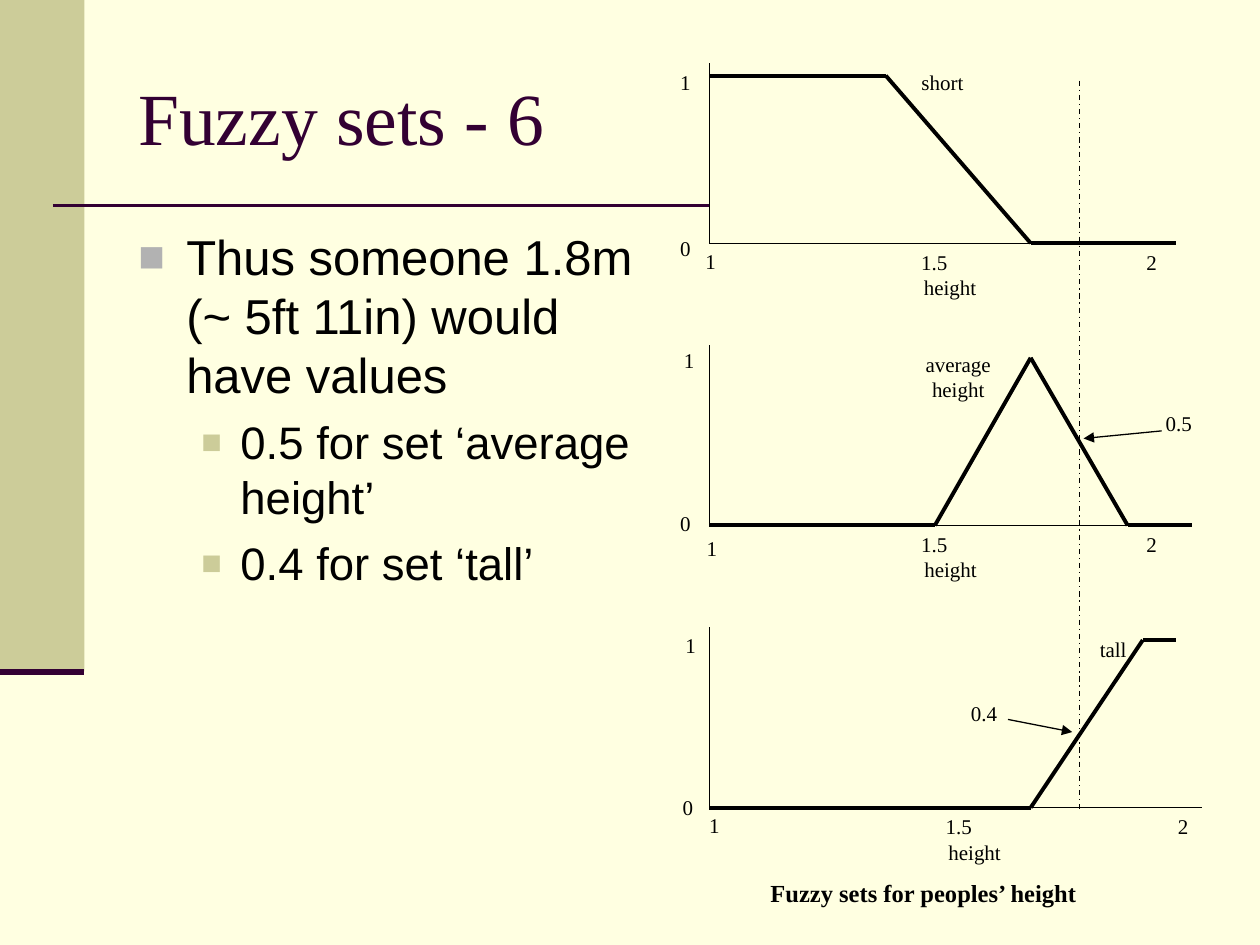
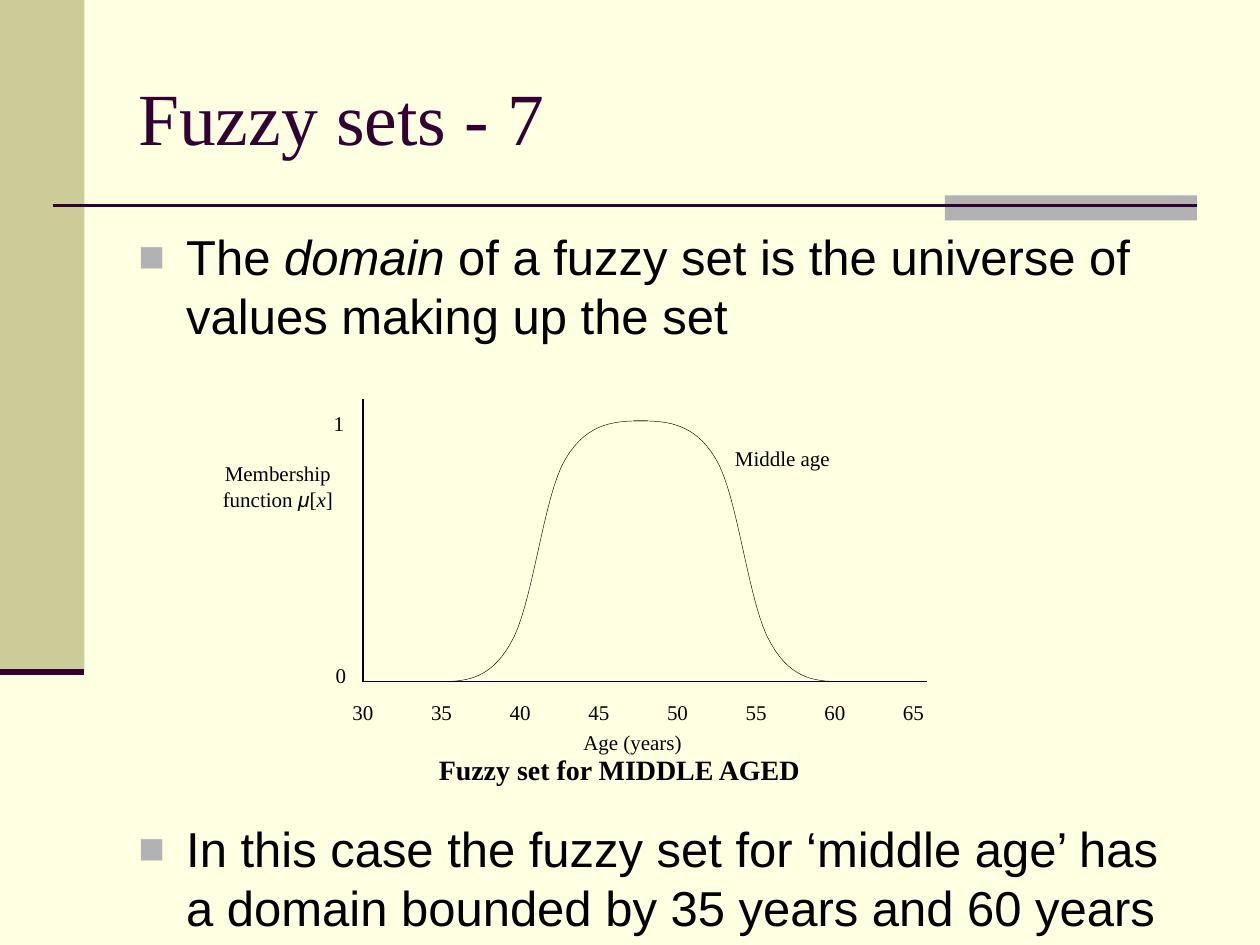
from lxml import etree
from pptx import Presentation
from pptx.dml.color import RGBColor
from pptx.enum.dml import MSO_LINE
from pptx.enum.shapes import MSO_CONNECTOR, MSO_SHAPE
from pptx.enum.text import MSO_ANCHOR, PP_ALIGN
from pptx.oxml.ns import qn
from pptx.util import Inches, Pt

CENTER, LEFT = PP_ALIGN.CENTER, PP_ALIGN.LEFT
TOP, MIDDLE = MSO_ANCHOR.TOP, MSO_ANCHOR.MIDDLE
STRAIGHT, RECTANGLE = MSO_CONNECTOR.STRAIGHT, MSO_SHAPE.RECTANGLE
DASH_DOT = MSO_LINE.DASH_DOT

COLORS = {
    "background": "FFFFE1",
    "band": "CCCC99",
    "accent": "B2B2B2",
    "title": "330033",
    "ink": "000000",
}
SERIF, SANS = "Times New Roman", "Arial"
LABEL_HEIGHT = 0.31
# Per bullet level: text size, left margin, hang, space before, bullet colour, bullet size in %
BULLETS = [
    (28, 0.38, 0.38, 7, "accent", 90),
    (26, 0.81, 0.31, 6.5, "band", 75),
]


def color(name):
    return RGBColor.from_string(COLORS[name])


def add_text(page, box, *paragraphs, size=12, font=SERIF, ink="ink", bold=False,
             align=CENTER, anchor=TOP):
    """Each paragraph is a string or a list of (text, font, italic) runs."""
    frame = page.shapes.add_textbox(*map(Inches, box)).text_frame
    frame.word_wrap = True
    frame.vertical_anchor = anchor
    for index, content in enumerate(paragraphs):
        para = frame.add_paragraph() if index else frame.paragraphs[0]
        para.alignment = align
        runs = [(content, font, False)] if isinstance(content, str) else content
        for text, face, italic in runs:
            span = para.add_run()
            span.text = text
            span.font.name = face
            span.font.size = Pt(size)
            span.font.bold = bold
            span.font.italic = italic
            span.font.color.rgb = color(ink)
    return frame


def add_bullets(page, box, *items):
    """Each item is a bullet level and its paragraph."""
    frame = add_text(page, box, *(content for _, content in items), font=SANS, align=LEFT)
    for para, (level, _) in zip(frame.paragraphs, items):
        size, margin, hang, before, tint, percent = BULLETS[level]
        para.level = level
        para.space_before = Pt(before)
        for span in para.runs:
            span.font.size = Pt(size)
        properties = para._p.get_or_add_pPr()
        properties.set("marL", str(Inches(margin)))
        properties.set("indent", str(-Inches(hang)))
        bullet_color = etree.SubElement(properties, qn("a:buClr"))
        etree.SubElement(bullet_color, qn("a:srgbClr"), val=COLORS[tint])
        etree.SubElement(properties, qn("a:buSzPct"), val=str(percent * 1000))
        etree.SubElement(properties, qn("a:buFont"), typeface=SANS)
        etree.SubElement(properties, qn("a:buChar"), char="■")


def add_line(page, start, end, width=0.75, ink="ink", dash=None, arrow=False):
    line = page.shapes.add_connector(STRAIGHT, *map(Inches, (*start, *end)))
    line.line.color.rgb = color(ink)
    line.line.width = Pt(width)
    if dash:
        line.line.dash_style = dash
    if arrow:
        etree.SubElement(line.line._get_or_add_ln(), qn("a:tailEnd"), type="triangle")
    etree.SubElement(line._element.spPr, qn("a:effectLst"))


def add_block(page, box, fill):
    block = page.shapes.add_shape(RECTANGLE, *map(Inches, box))
    block.shadow.inherit = False
    block.fill.solid()
    block.fill.fore_color.rgb = color(fill)
    block.line.fill.background()


def add_page(deck, title, rule_end=9.5, accent=True):
    """Add a slide with the side band, title rule and title."""
    page = deck.slides.add_slide(deck.slide_layouts[6])
    page.background.fill.solid()
    page.background.fill.fore_color.rgb = color("background")
    add_block(page, (0, 0, 0.67, 5.33), "band")
    if accent:
        add_block(page, (7.5, 1.55, 2, 0.2), "accent")
    add_line(page, (0.42, 1.63), (rule_end, 1.63), 1.5, "title")
    add_line(page, (0, 5.33), (0.67, 5.33), 3.5, "title")
    add_text(page, (1, 0.3, 8.5, 1.25), title, size=42, ink="title",
             align=LEFT, anchor=MIDDLE)
    return page


def draw_height_set(page, box, curve, labels):
    """Draw axes, a membership curve and labels, all relative to the box."""
    left, top, width, height = box
    origin = (left, top + height)
    add_line(page, (left, top), origin)
    add_line(page, origin, (left + width, top + height))
    points = [(left + x, top + y) for x, y in curve]
    for start, end in zip(points, points[1:]):
        add_line(page, start, end, 2.25)
    for text, x, y, label_width in labels:
        add_text(page, (left + x, top + y, label_width, LABEL_HEIGHT), text)


def draw_callout(page, text, label_at, label_width, start, end):
    add_text(page, (*label_at, label_width, LABEL_HEIGHT), text)
    add_line(page, start, end, arrow=True)


def build_height_page(deck):
    left, first_top, pitch, base, peak = 5.63, 0.5, 2.24, 1.43, 0.1
    page = add_page(deck, "Fuzzy sets - 6", rule_end=left, accent=False)
    add_bullets(page, (1, 1.75, 4.42, 3.17),
                (0, "Thus someone 1.8m (~ 5ft 11in) would have values"),
                (1, "0.5 for set ‘average height’"),
                (1, "0.4 for set ‘tall’"))
    add_line(page, (8.57, 0.64), (8.57, 6.45), dash=DASH_DOT)
    height_sets = [
        (3.7,
         [(0, peak), (1.4, peak), (2.55, base), (3.7, base)],
         [("1", -0.38, 0, 0.38), ("0", -0.38, 1.32, 0.38), ("1", -0.18, 1.42, 0.38),
          ("1.5", 1.53, base, 0.51), ("2", 3.32, base, 0.38),
          ("height", 1.4, 1.63, 1.02), ("short", 1.53, 0, 0.64)]),
        (3.7,
         [(0, base), (1.79, base), (2.55, peak), (3.32, base), (3.83, base)],
         [("1", -0.35, -0.03, 0.38), ("0", -0.38, 1.26, 0.38), ("1", -0.17, 1.46, 0.38),
          ("1.5", 1.53, base, 0.51), ("2", 3.32, base, 0.38),
          ("height", 1.53, 1.63, 0.77), ("average height", 1.53, 0, 0.89)]),
        (3.91,
         [(0, base), (2.55, base), (3.44, peak), (3.7, peak)],
         [("1", -0.34, -0.01, 0.38), ("0", -0.36, 1.28, 0.38), ("1", -0.15, 1.42, 0.38),
          ("1.5", 1.66, base, 0.64), ("2", 3.57, base, 0.38),
          ("height", 1.66, 1.63, 0.89), ("tall", 2.95, 0.02, 0.51)]),
    ]
    for index, (width, curve, labels) in enumerate(height_sets):
        draw_height_set(page, (left, first_top + index * pitch, width, base), curve, labels)
    draw_callout(page, "0.5", (9.1, 3.21), 0.51, (9.22, 3.42), (8.6, 3.48))
    draw_callout(page, "0.4", (7.49, 5.51), 0.64, (8, 5.71), (8.51, 5.81))
    add_text(page, (5.08, 6.92, 4.5, 0.34), "Fuzzy sets for peoples’ height",
             size=14, bold=True)


def bezier_points(start, first, second, end, steps=16):
    """Return points along a cubic curve, without its start."""
    points = []
    for step in range(1, steps + 1):
        t = step / steps
        weights = ((1 - t) ** 3, 3 * t * (1 - t) ** 2, 3 * t ** 2 * (1 - t), t ** 3)
        points.append(tuple(sum(weight * value for weight, value in zip(weights, values))
                            for values in zip(start, first, second, end)))
    return points


def add_curve(page, knots):
    """Draw joined cubic curves: a start, then two controls and an end for each."""
    points = [knots[0]]
    for index in range(0, len(knots) - 1, 3):
        points += bezier_points(*knots[index:index + 4])
    builder = page.shapes.build_freeform(*map(Inches, points[0]), scale=1.0)
    builder.add_line_segments([tuple(map(Inches, point)) for point in points[1:]], close=False)
    curve = builder.convert_to_shape()
    curve.shadow.inherit = False
    curve.fill.background()
    curve.line.color.rgb = color("ink")
    curve.line.width = Pt(0.25)


def draw_age_set(page, box):
    left, top, width, height = box
    base = top + height
    add_line(page, (left, base), (left, top))
    add_line(page, (left, base), (left + width, base))
    rise = [(0.58, 2.24), (0.79, 2.24), (1, 2.24), (1.17, 1.94), (1.35, 1.65),
            (1.43, 0.76), (1.61, 0.47), (1.79, 0.17), (2.02, 0.17), (2.26, 0.17)]
    mirror = 4.41
    fall = [(mirror - x, y) for x, y in rise]
    for knots in (rise, fall):
        add_curve(page, [(left + x, top + y) for x, y in knots])
    labels = [
        ("1", -0.39, 0.04, 0.4, 0.41),
        ("0", -0.44, 2.04, 0.53, 0.41),
        ([("Membership function ", SERIF, False), ("μ", SANS, True), ("[", SERIF, False),
          ("x", SERIF, True), ("]", SERIF, False)], -1.3, 0.44, 1.25, 0.5),
        ("Age (years)", 1.58, 2.57, 1.12, 0.37),
        ("Middle age", 2.83, 0.32, 1, 0.37),
    ]
    for text, x, y, label_width, label_height in labels:
        add_text(page, (left + x, top + y, label_width, label_height), text)
    tick_width, tick_gap = 0.5, 4.37 / 7
    for index, age in enumerate(range(30, 70, 5)):
        tick_left = left + index * tick_gap - tick_width / 2
        add_text(page, (tick_left, top + 2.33, tick_width, 0.25), str(age))
    add_text(page, (left - 0.88, top + 2.75, 5.83, 0.37), "Fuzzy set for MIDDLE AGED",
             size=16, bold=True)


def build_age_page(deck):
    page = add_page(deck, "Fuzzy sets - 7")
    add_bullets(page, (1, 1.75, 8.5, 1.05),
                (0, [("The ", SANS, False), ("domain", SANS, True),
                     (" of a fuzzy set is the universe of values making up the set",
                      SANS, False)]))
    draw_age_set(page, (2.88, 3.17, 4.48, 2.24))
    add_bullets(page, (1, 6.45, 8.5, 1.05),
                (0, "In this case the fuzzy set for ‘middle age’ has "
                    "a domain bounded by 35 years and 60 years"))


def main():
    deck = Presentation()
    deck.slide_width, deck.slide_height = Inches(10), Inches(7.5)
    build_height_page(deck)
    build_age_page(deck)
    deck.save("out.pptx")


if __name__ == "__main__":
    main()
